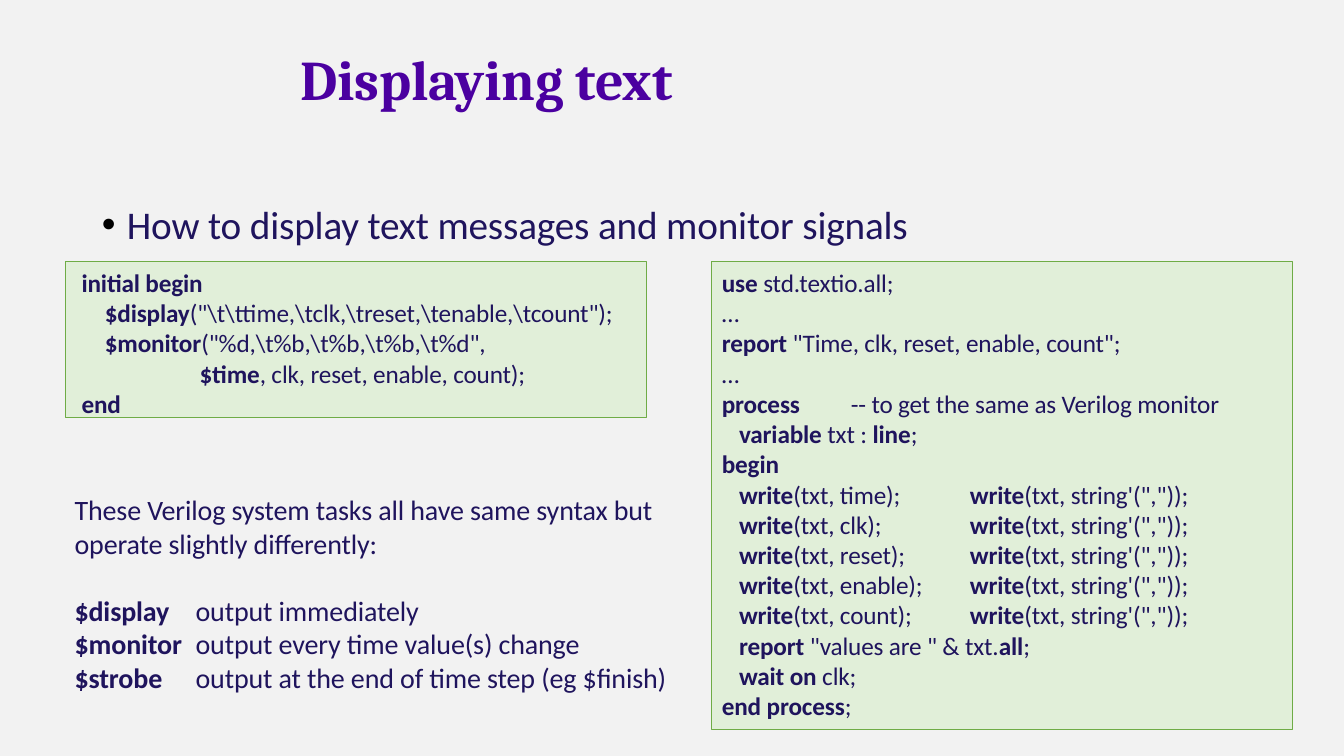
from lxml import etree
from pptx import Presentation
from pptx.dml.color import RGBColor
from pptx.enum.shapes import MSO_SHAPE
from pptx.enum.text import MSO_ANCHOR, MSO_AUTO_SIZE, PP_ALIGN
from pptx.oxml.ns import qn
from pptx.util import Inches, Pt

RECTANGLE = MSO_SHAPE.RECTANGLE
TOP, MIDDLE = MSO_ANCHOR.TOP, MSO_ANCHOR.MIDDLE
NO_AUTOFIT = MSO_AUTO_SIZE.NONE
LEFT = PP_ALIGN.LEFT

BACKGROUND = RGBColor(0xF2, 0xF2, 0xF2)
PURPLE = RGBColor(0x4B, 0x00, 0xA0)
NAVY = RGBColor(0x1F, 0x14, 0x5D)
PALE_GREEN = RGBColor(0xE1, 0xEF, 0xD9)
GREEN = RGBColor(0x6F, 0xAC, 0x46)

TITLE = "Displaying text"
TOPIC = "How to display text messages and monitor signals"
INTRO = "These Verilog system tasks all have same syntax but operate slightly differently:"

# Bold parts stand between double asterisks; each line is (indent, text).
VERILOG = [
    (0.16, "**initial begin**"),
    (0.39, r'**$display**("\t\ttime,\tclk,\treset,\tenable,\tcount");'),
    (0.39, r'**$monitor**("%d,\t%b,\t%b,\t%b,\t%d",'),
    (1.33, "**$time**, clk, reset, enable, count);"),
    (0.16, "**end**"),
]
SIGNALS = ["time", "clk", "reset", "enable", "count"]
VHDL = [
    (0.1, "**use** std.textio.all;"),
    (0.1, "…"),
    (0.1, '**report** "Time, clk, reset, enable, count";'),
    (0.1, "…"),
    (0.1, "**process**\t-- to get the same as Verilog monitor", 1.28),
    (0.27, "**variable** txt : **line**;"),
    (0.1, "**begin**"),
    *[(0.27, f"**write**(txt, {signal});\t**write**(txt, string'(\",\"));", 2.29)
      for signal in SIGNALS],
    (0.27, '**report** "values are " & txt.**all**;'),
    (0.27, "**wait on** clk;"),
    (0.1, "**end process**;"),
]
CODE_PANELS = [(0.65, 1.55, VERILOG), (7.06, 4.65, VHDL)]
TASKS = [
    ("$display", "output immediately", 3.46),
    ("$monitor", "output every time value(s) change", 5.08),
    ("$strobe", "output at the end of time step (eg $finish)", 5.95),
]


def add_bullet(properties):
    """Give a paragraph a black round bullet with a hanging indent."""
    properties.set("indent", str(Inches(-0.25)))
    color = etree.SubElement(properties, qn("a:buClr"))
    etree.SubElement(color, qn("a:srgbClr"), val="000000")
    etree.SubElement(properties, qn("a:buFont"), typeface="Arial")
    etree.SubElement(properties, qn("a:buChar"), char="•")


def write_lines(shape, lines, size, inset=0.03, anchor=TOP, face="Calibri",
                color=NAVY, bullet=False):
    """Fill a shape with indented lines, bold where marked."""
    frame = shape.text_frame
    frame.word_wrap = True
    frame.auto_size = NO_AUTOFIT
    frame.vertical_anchor = anchor
    frame.margin_left = frame.margin_right = frame.margin_bottom = 0
    frame.margin_top = Inches(inset)
    for number, (indent, text, *tab) in enumerate(lines):
        paragraph = frame.add_paragraph() if number else frame.paragraphs[0]
        paragraph.alignment = LEFT
        properties = paragraph._p.get_or_add_pPr()
        properties.set("marL", str(Inches(indent)))
        if bullet:
            add_bullet(properties)
        for stop in tab:
            tabs = etree.SubElement(properties, qn("a:tabLst"))
            etree.SubElement(tabs, qn("a:tab"), pos=str(Inches(stop)), algn="l")
        paragraph.font.name = face
        paragraph.font.size = Pt(size)
        paragraph.font.color.rgb = color
        for position, part in enumerate(text.split("**")):
            if part:
                run = paragraph.add_run()
                run.text = part
                run.font.bold = position % 2 == 1
                run._r.get_or_add_rPr().set("spc", "-10")


def box(left, top, width, height):
    """Turn inches into a place and size."""
    return [Inches(value) for value in (left, top, width, height)]


def main():
    """Build the slide and save it."""
    deck = Presentation()
    deck.slide_width, deck.slide_height = Inches(13.33), Inches(7.5)
    slide = deck.slides.add_slide(deck.slide_layouts[5])
    slide.background.fill.solid()
    slide.background.fill.fore_color.rgb = BACKGROUND
    shapes = slide.shapes

    title = shapes.title
    title.left, title.top, title.width, title.height = box(2.97, 0.38, 5.19, 0.76)
    write_lines(title, [(0.01, f"**{TITLE}**")], 40, anchor=MIDDLE,
                face="Cambria", color=PURPLE)

    topic = shapes.add_textbox(*box(1, 1.96, 8.1, 0.49))
    write_lines(topic, [(0.26, TOPIC)], 28, bullet=True)

    for left, height, code in CODE_PANELS:
        panel = shapes.add_shape(RECTANGLE, *box(left, 2.59, 5.76, height))
        panel.shadow.inherit = False
        panel.fill.solid()
        panel.fill.fore_color.rgb = PALE_GREEN
        panel.line.color.rgb = GREEN
        panel.line.width = Pt(0.48)
        write_lines(panel, code, 18, inset=0.06)

    intro = shapes.add_textbox(*box(0.73, 4.86, 5.83, 0.7))
    write_lines(intro, [(0.01, INTRO)], 20)

    for row, (task, effect, width) in enumerate(TASKS):
        line = shapes.add_textbox(*box(0.73, 5.86 + 0.33 * row, width, 0.36))
        write_lines(line, [(0.01, f"**{task}**\t{effect}", 1.2)], 20)

    deck.save("out.pptx")


if __name__ == "__main__":
    main()
